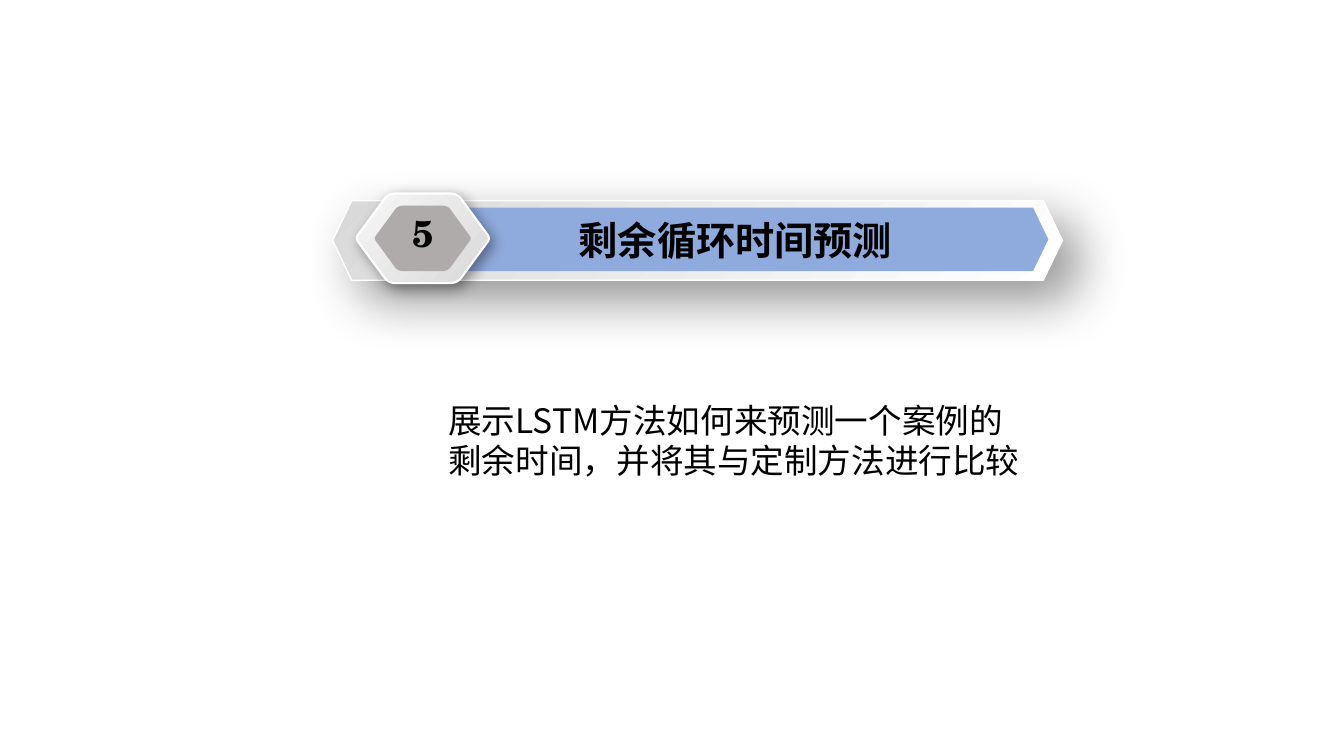
from dataclasses import dataclass
from typing import Any, Optional

import lxml.etree
import pptx
import pptx.dml.color
import pptx.enum.shapes
import pptx.enum.text
import pptx.oxml.ns
import pptx.util

Pt = pptx.util.Pt
qn = pptx.oxml.ns.qn
Point = tuple[float, float]


@dataclass(frozen=True)
class Theme:
    bar: str = "8FAADC"
    badge: str = "AFABAB"
    white: str = "FFFFFF"
    pale: str = "F7F7F7"
    silver: str = "D9D9D9"
    ink: str = "000000"
    latin: str = "TeX Gyre Schola"
    chinese: str = "Noto Sans CJK SC"
    title_size: float = 28
    number_size: float = 26.6
    body_size: float = 24


THEME = Theme()


@dataclass(frozen=True)
class Frame:
    left: float
    top: float
    width: float
    height: float


@dataclass(frozen=True)
class Shadow:
    opacity: int  # percent
    blur: float
    distance: float


@dataclass(frozen=True)
class Label:
    text: str
    size: float
    font: str
    bold: bool = False
    centred: bool = True
    anchor: Any = pptx.enum.text.MSO_ANCHOR.MIDDLE


@dataclass(frozen=True)
class Plate:
    frame: Frame
    colours: tuple[str, ...]  # one for a solid fill, two for a gradient
    rounded: bool = False
    adjust: float = 0.24
    angle: float = 0
    line: float = 0
    shadow: Optional[Shadow] = None
    label: Optional[Label] = None


PLATES = (
    Plate(Frame(237.6, 143.3, 521.3, 56.9), (THEME.white, THEME.silver),
          angle=135, line=1, shadow=Shadow(42, 38, 19)),
    Plate(Frame(301.7, 148.3, 447.1, 45.4), (THEME.bar,),
          label=Label("剩余循环时间预测", THEME.title_size, THEME.latin, True)),
    Plate(Frame(254.9, 138.2, 94.3, 64.1), (THEME.pale, THEME.silver), rounded=True,
          angle=315, line=1.5, shadow=Shadow(40, 10, 4)),
    Plate(Frame(267.8, 146.9, 68.4, 46.8), (THEME.badge,), rounded=True,
          label=Label("5", THEME.number_size, THEME.latin, True,
                      anchor=pptx.enum.text.MSO_ANCHOR.TOP)),
)
BODY_FRAME = Frame(313.2, 282.2, 424.1, 65.5)
BODY = Label("展示LSTM方法如何来预测一个案例的剩余时间，并将其与定制方法进行比较",
             THEME.body_size, THEME.chinese, centred=False,
             anchor=pptx.enum.text.MSO_ANCHOR.TOP)

# Rounded corners as start, control and end, in fractions of the frame
TIP = ((0.015, 0.55), (-0.015, 0.5), (0.015, 0.45))
SHOULDER = ((0.21, 0.06), (0.24, 0), (0.3, 0))
CORNER_STEPS = 8


def rgb(colour: str) -> pptx.dml.color.RGBColor:
    return pptx.dml.color.RGBColor.from_string(colour)


def box_of(frame: Frame) -> tuple[Any, ...]:
    return Pt(frame.left), Pt(frame.top), Pt(frame.width), Pt(frame.height)


def corner_points(corner: tuple[Point, ...]) -> list[Point]:
    points = []
    for step in range(CORNER_STEPS + 1):
        t = step / CORNER_STEPS
        weights = ((1 - t) ** 2, 2 * t * (1 - t), t ** 2)
        points.append((sum(w * p[0] for w, p in zip(weights, corner)),
                       sum(w * p[1] for w, p in zip(weights, corner))))
    return points


def rounded_hexagon(shapes: Any, frame: Frame) -> Any:
    shoulder = corner_points(SHOULDER)
    foot = [(x, 1 - y) for x, y in reversed(shoulder)]
    left_half = foot + corner_points(TIP) + shoulder
    outline = left_half + [(1 - x, y) for x, y in reversed(left_half)]
    points = [(Pt(frame.left + x * frame.width), Pt(frame.top + y * frame.height))
              for x, y in outline]
    builder = shapes.build_freeform(*points[0])
    builder.add_line_segments(points[1:], close=True)
    return builder.convert_to_shape()


def add_shadow(shape: Any, shadow: Shadow) -> None:
    effects = shape._element.spPr.find(qn("a:effectLst"))
    outer = lxml.etree.SubElement(effects, qn("a:outerShdw"), {
        "blurRad": str(Pt(shadow.blur)), "dist": str(Pt(shadow.distance)),
        "dir": str(45 * 60000), "algn": "tl", "rotWithShape": "0"})
    colour = lxml.etree.SubElement(outer, qn("a:srgbClr"), val=THEME.ink)
    lxml.etree.SubElement(colour, qn("a:alpha"), val=str(shadow.opacity * 1000))


def write_label(box: Any, label: Label) -> None:
    frame = box.text_frame
    frame.word_wrap = True
    frame.vertical_anchor = label.anchor
    para = frame.paragraphs[0]
    align = pptx.enum.text.PP_ALIGN
    para.alignment = align.CENTER if label.centred else align.LEFT
    span = para.add_run()
    span.text = label.text
    formats = {"name": label.font, "size": Pt(label.size), "bold": label.bold}
    for name, value in formats.items():
        setattr(span.font, name, value)
    span.font.color.rgb = rgb(THEME.ink)
    # East Asian typeface
    lxml.etree.SubElement(span._r.get_or_add_rPr(), qn("a:ea"), typeface=THEME.chinese)


def draw_plate(shapes: Any, plate: Plate) -> None:
    if plate.rounded:
        shape = rounded_hexagon(shapes, plate.frame)
    else:
        hexagon = pptx.enum.shapes.MSO_SHAPE.HEXAGON
        shape = shapes.add_shape(hexagon, *box_of(plate.frame))
        shape.adjustments[0] = plate.adjust
    shape.shadow.inherit = False
    if len(plate.colours) == 1:
        shape.fill.solid()
        shape.fill.fore_color.rgb = rgb(plate.colours[0])
    else:
        shape.fill.gradient()
        shape.fill.gradient_angle = plate.angle
        for stop, colour in zip(shape.fill.gradient_stops, plate.colours):
            stop.color.rgb = rgb(colour)
    if plate.line:
        shape.line.color.rgb = rgb(THEME.white)
        shape.line.width = Pt(plate.line)
    else:
        shape.line.fill.background()
    if plate.shadow:
        add_shadow(shape, plate.shadow)
    if plate.label:
        write_label(shape, plate.label)


def main() -> None:
    deck = pptx.Presentation()
    deck.slide_width, deck.slide_height = Pt(960), Pt(540)
    page = deck.slides.add_slide(deck.slide_layouts[6])

    # Section banner with its numbered badge
    banner = page.shapes.add_group_shape()
    for plate in PLATES:
        draw_plate(banner.shapes, plate)

    # Section summary
    write_label(page.shapes.add_textbox(*box_of(BODY_FRAME)), BODY)

    deck.save("out.pptx")


if __name__ == "__main__":
    main()
